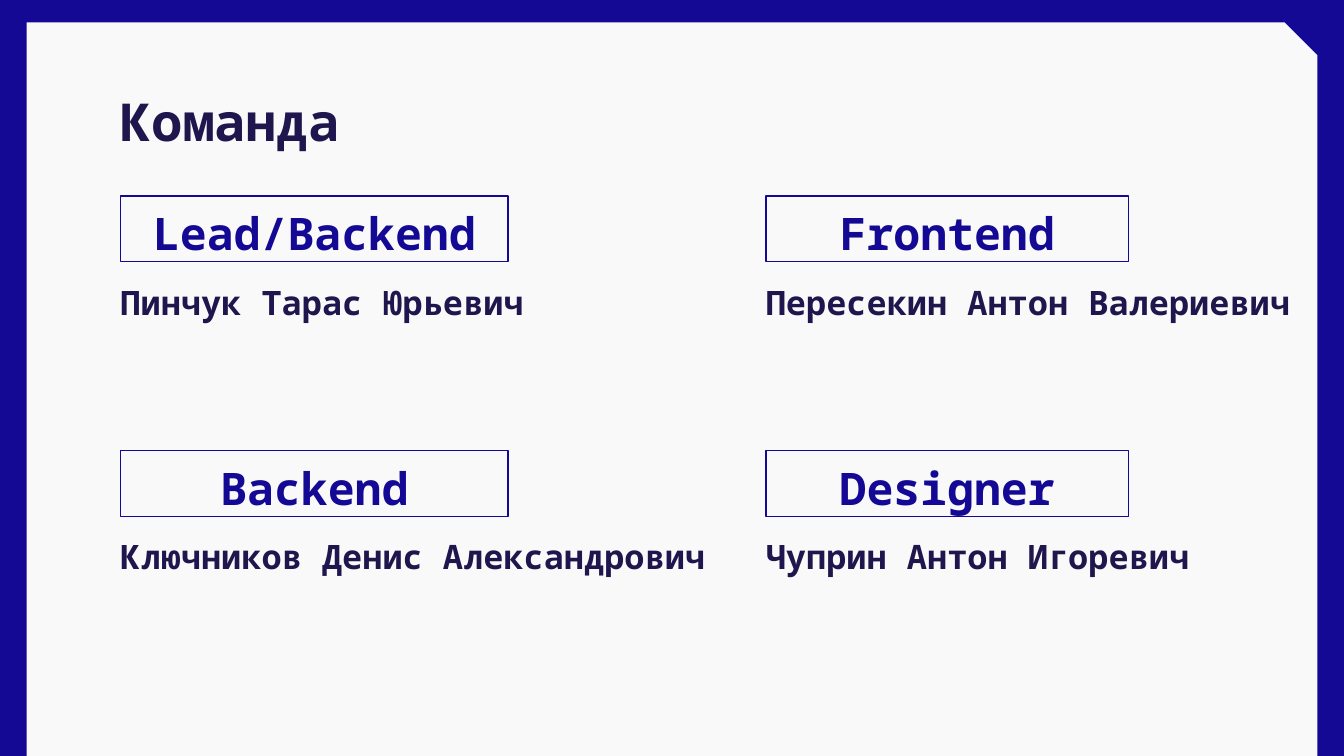
from dataclasses import dataclass

from lxml import etree
from pptx import Presentation
from pptx.dml.color import RGBColor
from pptx.enum.shapes import MSO_SHAPE
from pptx.enum.text import MSO_ANCHOR, MSO_AUTO_SIZE, PP_ALIGN
from pptx.oxml.ns import qn
from pptx.util import Emu, Pt

EMU_PER_PX = 9525
COMPARISON_LAYOUT = 4
RECTANGLE = MSO_SHAPE.RECTANGLE
SNIPPED_RECTANGLE = MSO_SHAPE.SNIP_1_RECTANGLE
TOP, MIDDLE, BOTTOM = MSO_ANCHOR.TOP, MSO_ANCHOR.MIDDLE, MSO_ANCHOR.BOTTOM
LEFT, CENTER = PP_ALIGN.LEFT, PP_ALIGN.CENTER
NO_AUTOFIT = MSO_AUTO_SIZE.NONE


@dataclass(frozen=True)
class Theme:
    blue: RGBColor = RGBColor(0x13, 0x09, 0x94)
    dark: RGBColor = RGBColor(0x1F, 0x16, 0x4D)
    paper: RGBColor = RGBColor(0xF9, 0xF9, 0xF9)
    font: str = "Noto Sans Mono"
    title_size: int = 28
    role_size: int = 24
    name_size: int = 18
    line_spacing: float = 1.15
    border: float = 0.75


@dataclass(frozen=True)
class Box:
    left: int
    top: int
    width: int
    height: int

    def emu(self) -> list[Emu]:
        return [Emu(px * EMU_PER_PX)
                for px in (self.left, self.top, self.width, self.height)]


@dataclass(frozen=True)
class TextStyle:
    size: int
    color: RGBColor
    anchor: MSO_ANCHOR
    alignment: PP_ALIGN


@dataclass(frozen=True)
class Member:
    role: str
    name: str
    column: int
    row: int
    name_width: int


THEME = Theme()
TITLE_STYLE = TextStyle(THEME.title_size, THEME.dark, TOP, LEFT)
ROLE_STYLE = TextStyle(THEME.role_size, THEME.blue, MIDDLE, CENTER)
NAME_STYLE = TextStyle(THEME.name_size, THEME.dark, BOTTOM, LEFT)

SLIDE = Box(0, 0, 960, 540)
PANEL = Box(19, 16, 922, 524 - 16 + 16)
TITLE = Box(76, 47, 809, 60)
COLUMN_LEFTS = (86, 547)
ROLE_WIDTHS = (277, 259)
FIRST_ROW_TOP, ROW_PITCH = 140, 182
ROLE_HEIGHT, NAME_HEIGHT = 47, 51
NAME_OFFSET = 49
INSET = 10

MEMBERS = (
    Member("Lead/Backend", "Пинчук Тарас Юрьевич", 0, 0, 313),
    Member("Frontend", "Пересекин Антон Валериевич", 1, 0, 403),
    Member("Backend", "Ключников Денис Александрович", 0, 1, 444),
    Member("Designer", "Чуприн Антон Игоревич", 1, 1, 358),
)


def set_attributes(target, values: dict) -> None:
    for attribute, value in values.items():
        setattr(target, attribute, value)


def place(shape, box: Box) -> None:
    set_attributes(shape, dict(zip(("left", "top", "width", "height"), box.emu())))


def write(shape, text: str, style: TextStyle) -> None:
    frame = shape.text_frame
    inset = Emu(INSET * EMU_PER_PX)
    set_attributes(frame, {
        "text": text, "word_wrap": True, "auto_size": NO_AUTOFIT,
        "vertical_anchor": style.anchor,
        "margin_left": inset, "margin_right": inset,
        "margin_top": inset, "margin_bottom": inset,
    })
    paragraph = frame.paragraphs[0]
    set_attributes(paragraph, {
        "alignment": style.alignment, "line_spacing": THEME.line_spacing,
        "space_before": Pt(0), "space_after": Pt(0),
    })
    font = paragraph.runs[0].font
    set_attributes(font, {"name": THEME.font, "size": Pt(style.size), "bold": True})
    font.color.rgb = style.color


def remove_bullet(paragraph) -> None:
    properties = paragraph._p.get_or_add_pPr()
    properties.set("marL", "0")
    properties.set("indent", "0")
    etree.SubElement(properties, qn("a:buNone"))


def add_panel(slide) -> None:
    """Draw the light panel behind the placeholders."""
    panel = slide.shapes.add_shape(SNIPPED_RECTANGLE, *PANEL.emu())
    panel.adjustments[0] = 0.045
    panel.shadow.inherit = False
    panel.fill.solid()
    panel.fill.fore_color.rgb = THEME.paper
    panel.line.fill.background()
    slide.shapes[0]._element.addprevious(panel._element)


def add_member(slide, member: Member, name_placeholder) -> None:
    left = COLUMN_LEFTS[member.column]
    top = FIRST_ROW_TOP + member.row * ROW_PITCH

    role_box = Box(left, top, ROLE_WIDTHS[member.column], ROLE_HEIGHT)
    role = slide.shapes.add_shape(RECTANGLE, *role_box.emu())
    role.shadow.inherit = False
    role.fill.background()
    role.line.color.rgb = THEME.blue
    role.line.width = Pt(THEME.border)
    write(role, member.role, ROLE_STYLE)

    place(name_placeholder,
          Box(left - INSET, top + NAME_OFFSET, member.name_width, NAME_HEIGHT))
    write(name_placeholder, member.name, NAME_STYLE)
    remove_bullet(name_placeholder.text_frame.paragraphs[0])


def main() -> None:
    presentation = Presentation()
    _, _, presentation.slide_width, presentation.slide_height = SLIDE.emu()
    slide = presentation.slides.add_slide(
        presentation.slide_layouts[COMPARISON_LAYOUT])
    slide.background.fill.solid()
    slide.background.fill.fore_color.rgb = THEME.blue

    title, *name_placeholders = slide.placeholders
    add_panel(slide)
    place(title, TITLE)
    write(title, "Команда", TITLE_STYLE)
    for member, name_placeholder in zip(MEMBERS, name_placeholders):
        add_member(slide, member, name_placeholder)

    presentation.save("out.pptx")


if __name__ == "__main__":
    main()
